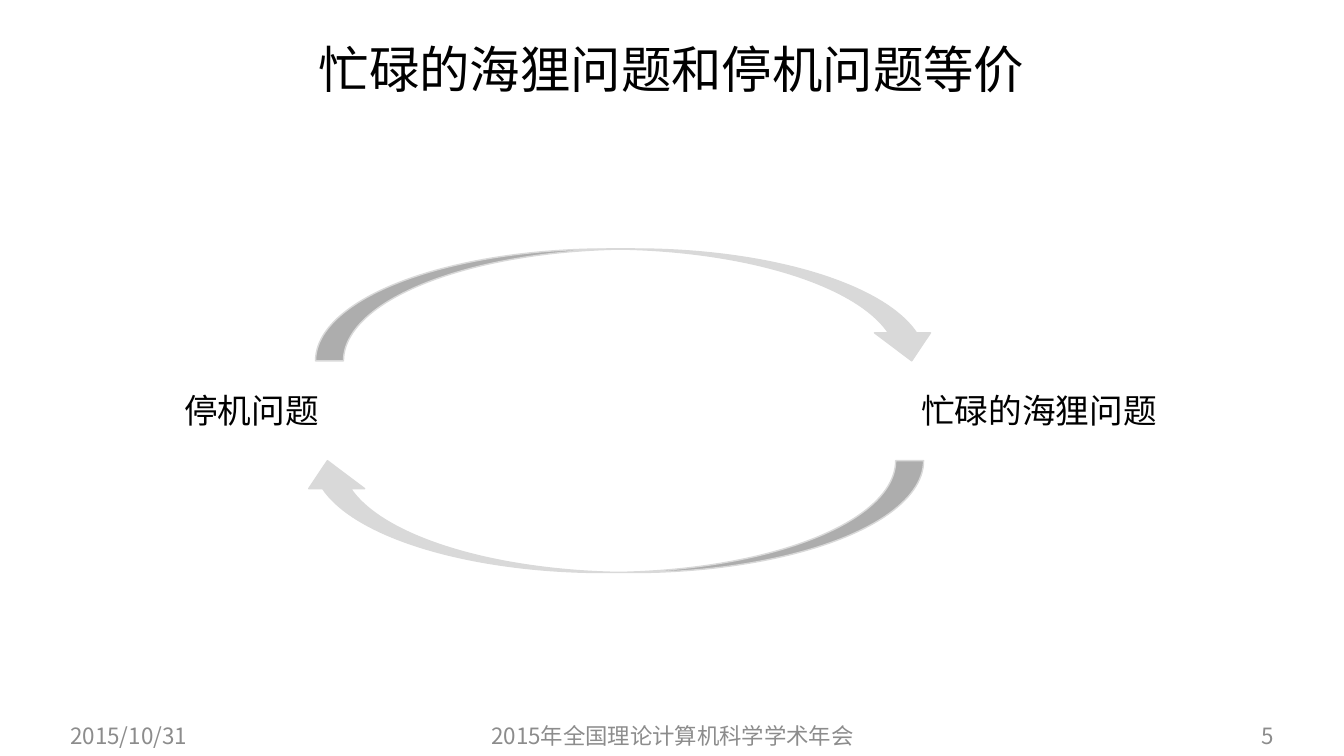
"""Build the slide on the equivalence of two problems."""
from dataclasses import dataclass

import lxml.etree
import pptx
import pptx.dml.color
import pptx.enum.shapes
import pptx.enum.text
import pptx.oxml.ns
import pptx.util

RGB = pptx.dml.color.RGBColor
ALIGN = pptx.enum.text.PP_ALIGN
ANCHOR = pptx.enum.text.MSO_ANCHOR
BLACK = RGB(0x00, 0x00, 0x00)
GREY = RGB(0x8C, 0x8C, 0x8C)
SILVER = RGB(0xD9, 0xD9, 0xD9)
NOTO = "Noto Sans CJK SC"
LATO = "Lato"
WIDE = pptx.util.Inches(13.33)
HIGH = pptx.util.Inches(7.5)


@dataclass(frozen=True)
class Box:
    """A frame in hundredths of the slide's width and height."""
    left: float
    top: float
    width: float
    height: float

    def frame(self) -> tuple[int, int, int, int]:
        """Return the frame in slide units."""
        col, row = WIDE / 100, HIGH / 100
        return (round(self.left * col), round(self.top * row),
                round(self.width * col), round(self.height * row))


@dataclass(frozen=True)
class Style:
    """The look of one kind of text."""
    font: str
    size: int
    color: RGB
    anchor: ANCHOR


@dataclass(frozen=True)
class Label:
    """One text with its frame, style and alignment."""
    text: str
    box: Box
    style: Style
    align: ALIGN


@dataclass(frozen=True)
class Arrow:
    """One curved arrow with its turn in degrees."""
    box: Box
    turn: int


HEAD = Style(NOTO, 36, BLACK, ANCHOR.MIDDLE)
NAME = Style(LATO, 24, BLACK, ANCHOR.TOP)
FOOT = Style(NOTO, 16, GREY, ANCHOR.MIDDLE)
MID, LOW = 50.93, 94.67

TITLE = Label("忙碌的海狸问题和停机问题等价", Box(4.5, 1.33, 90.92, 16.53),
              HEAD, ALIGN.CENTER)
LABELS = (
    Label("2015/10/31", Box(4.5, LOW, 18.45, 5.33), FOOT, ALIGN.LEFT),
    Label("忙碌的海狸问题", Box(67.82, MID, 20.26, 6.67), NAME, ALIGN.LEFT),
    Label("停机问题", Box(11.93, MID, 12.53, 6.67), NAME, ALIGN.RIGHT),
    Label("2015年全国理论计算机科学学术年会", Box(33.16, LOW, 33.76, 5.33),
          FOOT, ALIGN.CENTER),
    Label("5", Box(73, LOW, 22.5, 5.33), FOOT, ALIGN.RIGHT),
)
ARROWS = (
    Arrow(Box(23.48, 32.93, 46.44, 14.8), 0),
    Arrow(Box(22.28, 60.93, 46.44, 14.8), 180),
)


def write(shape, label: Label) -> None:
    """Place the label's text in a shape and format it."""
    shape.left, shape.top, shape.width, shape.height = label.box.frame()
    body = shape.text_frame
    body.word_wrap = True
    body.auto_size = pptx.enum.text.MSO_AUTO_SIZE.NONE
    body.vertical_anchor = label.style.anchor
    body.text = label.text
    line = body.paragraphs[0]
    line.alignment = label.align
    for run in line.runs:
        run.font.size = pptx.util.Pt(label.style.size)
        run.font.color.rgb = label.style.color
        run.font.name = label.style.font
        east = lxml.etree.SubElement(run._r.get_or_add_rPr(),
                                     pptx.oxml.ns.qn("a:ea"))
        east.set("typeface", NOTO)


def draw(slide, arrow: Arrow) -> None:
    """Draw one curved arrow."""
    kind = pptx.enum.shapes.MSO_SHAPE.CURVED_DOWN_ARROW
    shape = slide.shapes.add_shape(kind, *arrow.box.frame())
    shape.rotation = arrow.turn
    shape.shadow.inherit = False
    shape.fill.solid()
    shape.fill.fore_color.rgb = SILVER
    shape.line.color.rgb = SILVER
    shape.line.width = pptx.util.Pt(1)


def main() -> None:
    """Build and save the slide."""
    deck = pptx.Presentation()
    deck.slide_width, deck.slide_height = WIDE, HIGH
    slide = deck.slides.add_slide(deck.slide_layouts[5])
    title = slide.shapes.title
    write(title, TITLE)
    title.text_frame.paragraphs[0].line_spacing = 0.9
    for label in LABELS:
        write(slide.shapes.add_textbox(*label.box.frame()), label)
    for arrow in ARROWS:
        draw(slide, arrow)
    deck.save("out.pptx")


if __name__ == "__main__":
    main()
